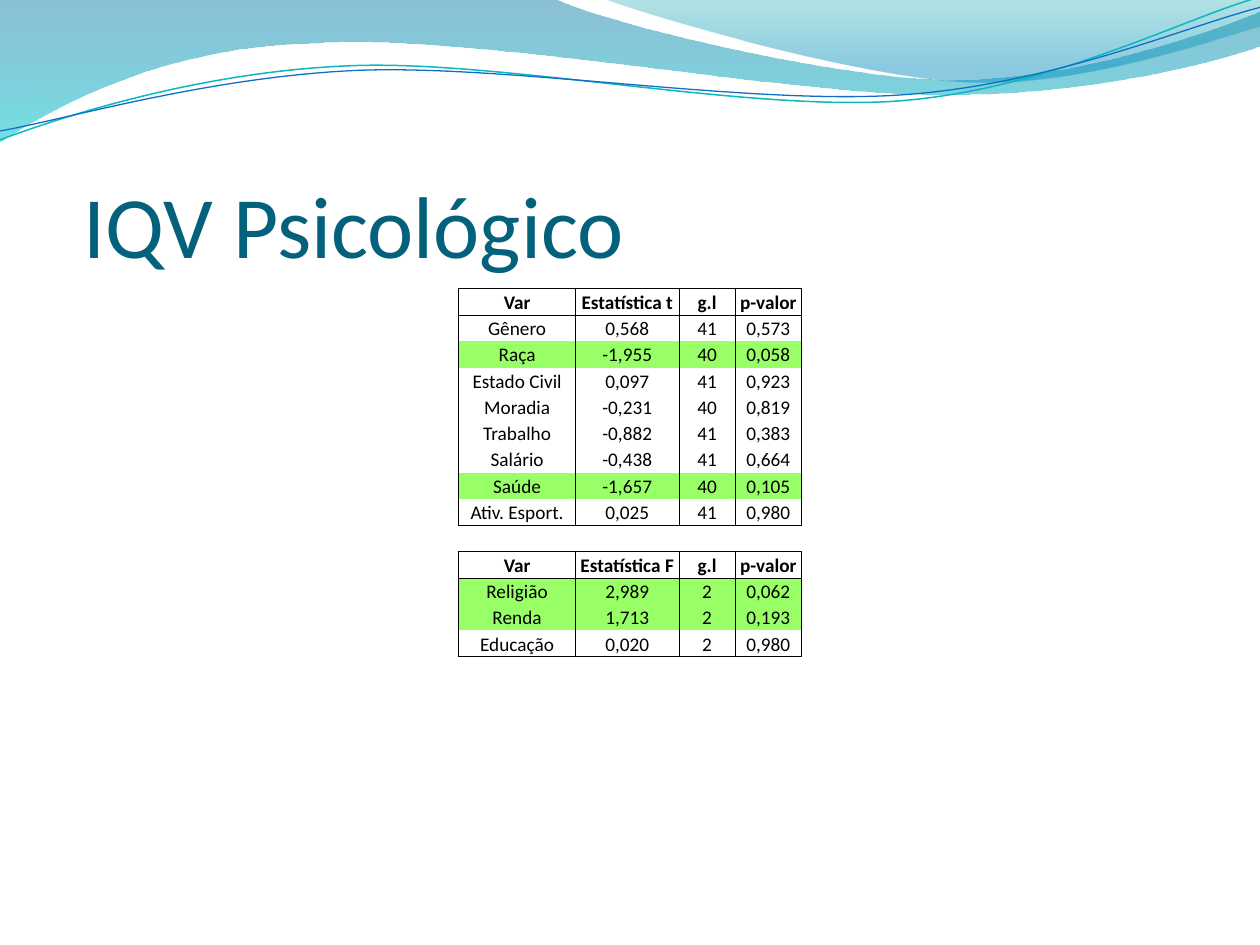
from dataclasses import dataclass

from lxml.etree import SubElement
from pptx import Presentation
from pptx.dml.color import RGBColor as Color
from pptx.enum.text import MSO_ANCHOR as Anchor, MSO_AUTO_SIZE as AutoSize, PP_ALIGN as Align
from pptx.oxml.ns import qn
from pptx.util import Cm, Pt


@dataclass(frozen=True)
class Theme:
    font: str = "Calibri"
    title: str = "04617B"
    text: str = "000000"
    highlight: str = "99FF66"
    teal_line: str = "0AB8BF"
    blue_line: str = "0F6FC6"
    wide_wave: tuple = ((0, "0074A1", 45), (1, "00C6CF", 55))
    right_wave: tuple = ((0, "00A1A9", 30), (0.8, "008BBF", 45))
    title_size: int = 50
    table_size: int = 11
    border_width: float = 0.5


THEME = Theme()
CURVE_ROTATION = 357.3

WIDE_WAVE = [
    (0, 0), (11.18, -0.03),
    (12.09, 0.43, 16.87, 1.6, 19.25, 1.6),
    (21.67, 1.6, 24.33, 0.66, 25.4, 0.23),
    (25.43, 0.91),
    (24.97, 1.12, 22.1, 1.93, 18.95, 1.91),
    (15.8, 1.91, 9.7, 0.71, 6.53, 0.86),
    (3.28, 0.91, 1.17, 2.11, -0.03, 2.87),
    (0, 0),
]
RIGHT_WAVE = [
    (12.17, -0.03),
    (12.93, 0.28, 17.32, 1.57, 19.53, 1.65),
    (21.74, 1.75, 24.41, 0.81, 25.4, 0.53),
    (25.4, 0), (12.17, -0.03),
]
TEAL_CURVE = [
    (-0.05, 2.22),
    (1.19, 1.82, 4.02, 1.04, 7.05, 1.06),
    (10.05, 1.07, 15.02, 2.37, 18.08, 2.29),
    (21.13, 2.2, 23.87, 0.91, 25.41, 0.55),
]
BLUE_CURVE = [
    (-0.04, 2.04),
    (1.16, 1.9, 4.18, 1.15, 7.2, 1.16),
    (10.25, 1.18, 15.13, 2.25, 18.18, 2.17),
    (21.21, 2.1, 23.93, 1.06, 25.45, 0.75),
]

COLUMN_WIDTHS = (2.35, 2.09, 1.13, 1.34)
ROW_HEIGHT = 0.53
HEADER = "Var"
HIGHLIGHTED = {"Raça", "Saúde", "Religião", "Renda"}
GAP = ("", "", "", "")
ROWS = [
    (HEADER, "Estatística t", "g.l", "p-valor"),
    ("Gênero", "0,568", "41", "0,573"),
    ("Raça", "-1,955", "40", "0,058"),
    ("Estado Civil", "0,097", "41", "0,923"),
    ("Moradia", "-0,231", "40", "0,819"),
    ("Trabalho", "-0,882", "41", "0,383"),
    ("Salário", "-0,438", "41", "0,664"),
    ("Saúde", "-1,657", "40", "0,105"),
    ("Ativ. Esport.", "0,025", "41", "0,980"),
    GAP,
    (HEADER, "Estatística F", "g.l", "p-valor"),
    ("Religião", "2,989", "2", "0,062"),
    ("Renda", "1,713", "2", "0,193"),
    ("Educação", "0,020", "2", "0,980"),
]


def add_outline(slide, segments, close):
    start, *rest = segments
    builder = slide.shapes.build_freeform(Cm(start[0]), Cm(start[1]))
    builder.add_line_segments([(Cm(s[-2]), Cm(s[-1])) for s in rest], close=close)
    shape = builder.convert_to_shape()
    shape.shadow.inherit = False
    for line, segment in zip(list(shape._element.iter(qn("a:lnTo"))), rest):
        if len(segment) == 6:
            bend_line(line, segment, shape.left, shape.top)
    return shape


def bend_line(line, controls, left, top):
    curve = line.makeelement(qn("a:cubicBezTo"))
    for x, y in zip(controls[::2], controls[1::2]):
        SubElement(curve, qn("a:pt"), x=str(Cm(x) - left), y=str(Cm(y) - top))
    line.getparent().replace(line, curve)


def add_wave(slide, segments, stops):
    shape = add_outline(slide, segments, True)
    shape.line.fill.background()
    shape.fill.gradient()
    shape.fill.gradient_angle = 270
    for stop, (position, color, _) in zip(shape.fill.gradient_stops, stops):
        stop.position = position
        stop.color.rgb = Color.from_string(color)
    for element, (_, _, opacity) in zip(shape._element.spPr.iter(qn("a:srgbClr")), stops):
        SubElement(element, qn("a:alpha"), val=str(opacity * 1000))


def add_curve(slide, segments, color, width):
    shape = add_outline(slide, segments, False)
    shape.rotation = CURVE_ROTATION
    shape.fill.background()
    shape.line.color.rgb = Color.from_string(color)
    shape.line.width = Pt(width)


def add_run(paragraph, text, size, color, bold=False):
    run = paragraph.add_run()
    run.text = text
    run.font.name = THEME.font
    run.font.size = Pt(size)
    run.font.bold = bold
    run.font.color.rgb = Color.from_string(color)


def format_title(slide, text):
    title = slide.shapes.title
    title.left, title.top, title.width, title.height = Cm(1.69), Cm(2.39), Cm(22.86), Cm(3.18)
    frame = title.text_frame
    frame.auto_size = AutoSize.NONE
    frame.word_wrap = True
    frame.vertical_anchor = Anchor.BOTTOM
    frame.margin_left = frame.margin_right = frame.margin_bottom = 0
    frame.margin_top = Cm(0.13)
    paragraph = frame.paragraphs[0]
    paragraph.alignment = Align.LEFT
    add_run(paragraph, text, THEME.title_size, THEME.title)
    slide.shapes._spTree.append(title._element)


def row_edges(index):
    row = ROWS[index]
    if row == GAP:
        return "TB"
    if row[0] == HEADER:
        return "LRTB"
    edges = "LR"
    if ROWS[index - 1][0] == HEADER:
        edges += "T"
    if index + 1 == len(ROWS) or ROWS[index + 1] == GAP:
        edges += "B"
    return edges


def set_borders(cell, edges):
    properties = cell._tc.get_or_add_tcPr()
    for side in "LRTB":
        line = SubElement(properties, qn(f"a:ln{side}"), w=str(Pt(THEME.border_width)))
        if side in edges:
            fill = SubElement(line, qn("a:solidFill"))
            SubElement(fill, qn("a:srgbClr"), val=THEME.text)
        else:
            SubElement(line, qn("a:noFill"))


def fill_cell(cell, text, edges, bold, highlighted):
    cell.margin_left = cell.margin_right = cell.margin_top = Cm(0.03)
    cell.margin_bottom = 0
    cell.vertical_anchor = Anchor.MIDDLE
    set_borders(cell, edges)
    if highlighted:
        cell.fill.solid()
        cell.fill.fore_color.rgb = Color.from_string(THEME.highlight)
    else:
        cell.fill.background()
    paragraph = cell.text_frame.paragraphs[0]
    paragraph.alignment = Align.CENTER
    if text:
        add_run(paragraph, text, THEME.table_size, THEME.text, bold)
    else:
        SubElement(paragraph._p, qn("a:endParaRPr"), sz=str(THEME.table_size * 100))


def add_statistics_table(slide):
    table = slide.shapes.add_table(
        len(ROWS), len(COLUMN_WIDTHS), Cm(9.25), Cm(5.82),
        Cm(sum(COLUMN_WIDTHS)), Cm(ROW_HEIGHT * len(ROWS))).table
    table.first_row = table.horz_banding = False
    for column, width in zip(table.columns, COLUMN_WIDTHS):
        column.width = Cm(width)
    for index, values in enumerate(ROWS):
        table.rows[index].height = Cm(ROW_HEIGHT)
        for cell, text in zip(table.rows[index].cells, values):
            fill_cell(cell, text, row_edges(index), values[0] == HEADER,
                      values[0] in HIGHLIGHTED)


def main():
    presentation = Presentation()
    presentation.slide_width, presentation.slide_height = Cm(25.4), Cm(19.05)
    slide = presentation.slides.add_slide(presentation.slide_layouts[5])
    add_wave(slide, WIDE_WAVE, THEME.wide_wave)
    add_wave(slide, RIGHT_WAVE, THEME.right_wave)
    add_curve(slide, TEAL_CURVE, THEME.teal_line, 0.85)
    add_curve(slide, BLUE_CURVE, THEME.blue_line, 0.75)
    format_title(slide, "IQV Psicológico")
    add_statistics_table(slide)
    presentation.save("out.pptx")


if __name__ == "__main__":
    main()
